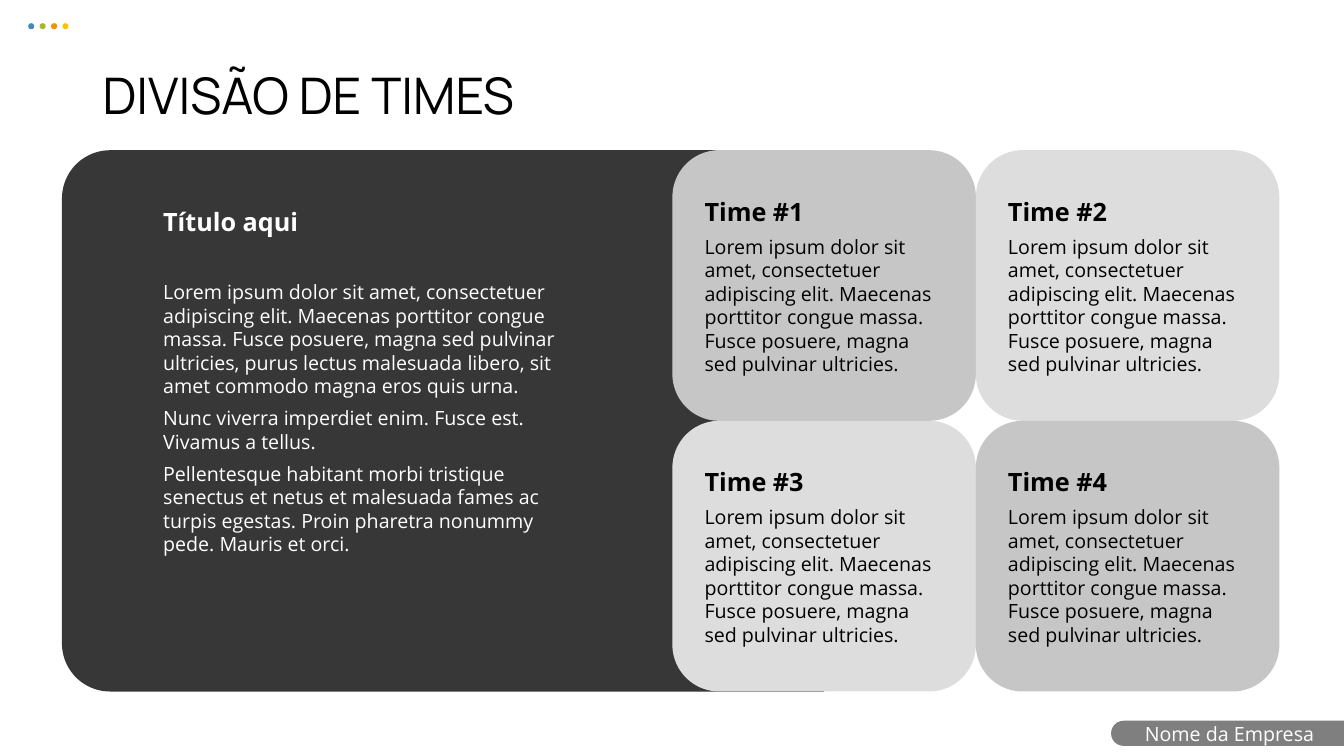
from dataclasses import dataclass
from itertools import product

from pptx import Presentation
from pptx.dml.color import RGBColor
from pptx.enum.shapes import MSO_SHAPE as Preset
from pptx.enum.text import MSO_ANCHOR as Anchor, MSO_AUTO_SIZE as AutoSize, PP_ALIGN as Align
from pptx.slide import Slide
from pptx.util import Inches, Pt

SLIDE_WIDTH, SLIDE_HEIGHT = Inches(13.33), Inches(7.5)
BODY_FONT, TITLE_FONT = "Open Sans", "Manrope"
BLACK, WHITE = "000000", "FFFFFF"
PANEL_FILL, FOOTER_FILL = "373737", "7F7F7F"
CARD_FILLS = ("C6C6C6", "DDDDDD")
DOT_FILLS = ("418AB3", "A6B727", "F69200", "FEC306")

CARD_TEXT = (
    "Lorem ipsum dolor sit amet, consectetuer adipiscing elit. Maecenas porttitor "
    "congue massa. Fusce posuere, magna sed pulvinar ultricies."
)
PANEL_TEXTS = (
    CARD_TEXT[:-1] + ", purus lectus malesuada libero, sit amet commodo magna eros quis urna.",
    "Nunc viverra imperdiet enim. Fusce est. Vivamus a tellus.",
    "Pellentesque habitant morbi tristique senectus et netus et malesuada fames ac "
    "turpis egestas. Proin pharetra nonummy pede. Mauris et orci.",
)


@dataclass(frozen=True)
class Box:
    """A rectangle in percent of the slide's width and height."""
    left: float
    top: float
    width: float
    height: float

    def in_emu(self) -> tuple[int, int, int, int]:
        return (
            int(SLIDE_WIDTH * self.left / 100), int(SLIDE_HEIGHT * self.top / 100),
            int(SLIDE_WIDTH * self.width / 100), int(SLIDE_HEIGHT * self.height / 100),
        )


@dataclass(frozen=True)
class Line:
    """One paragraph with a single run."""
    text: str
    size: float = 14
    color: str = BLACK
    bold: bool = False
    font: str = BODY_FONT
    space_before: float = 0
    line_spacing: float = 1.0
    align: Align = Align.LEFT


CARD_GRID = Box(50.03, 19.87, 22.58, 35.8)
PANEL = Box(4.61, CARD_GRID.top, 56.71, 2 * CARD_GRID.height)
FOOTER = Box(82.67, 95.33, 17.33, 3.33)


def color_of(value: str) -> RGBColor:
    return RGBColor.from_string(value)


def add_filled(slide: Slide, preset: Preset, box: Box, fill: str,
               adjustments: tuple[float, ...] = (), on_left_side: bool = False) -> None:
    """Draw a plain shape; on_left_side turns its top edge to the left."""
    left, top, width, height = box.in_emu()
    if on_left_side:
        left, top = left + (width - height) // 2, top + (height - width) // 2
        width, height = height, width
    shape = slide.shapes.add_shape(preset, left, top, width, height)
    shape.rotation = 270 if on_left_side else 0
    for index, adjustment in enumerate(adjustments):
        shape.adjustments[index] = adjustment
    shape.shadow.inherit = False
    shape.fill.solid()
    shape.fill.fore_color.rgb = color_of(fill)
    shape.line.fill.background()


def add_text(slide: Slide, box: Box, lines: list[Line],
             anchor: Anchor = Anchor.MIDDLE, grow: bool = False) -> None:
    frame = slide.shapes.add_textbox(*box.in_emu()).text_frame
    frame.word_wrap = True
    frame.vertical_anchor = anchor
    frame.auto_size = AutoSize.SHAPE_TO_FIT_TEXT if grow else AutoSize.NONE
    for index, line in enumerate(lines):
        paragraph = frame.add_paragraph() if index else frame.paragraphs[0]
        paragraph.alignment = line.align
        paragraph.line_spacing = line.line_spacing
        paragraph.space_before = Pt(line.space_before)
        run = paragraph.add_run()
        run.text = line.text
        run.font.name = line.font
        run.font.size = Pt(line.size)
        run.font.bold = line.bold
        run.font.color.rgb = color_of(line.color)


def add_card(slide: Slide, row: int, column: int) -> None:
    left = CARD_GRID.left + column * CARD_GRID.width
    top = CARD_GRID.top + row * CARD_GRID.height
    add_filled(slide, Preset.ROUNDED_RECTANGLE,
               Box(left, top, CARD_GRID.width, CARD_GRID.height),
               CARD_FILLS[(row + column) % 2], (0.173,))
    add_text(slide, Box(left + 1.65, top + 6.8, 19.13, 22.27), [
        Line(f"Time #{2 * row + column + 1}", size=18, bold=True),
        Line(CARD_TEXT, space_before=6),
    ], grow=True)


def main() -> None:
    presentation = Presentation()
    presentation.slide_width, presentation.slide_height = SLIDE_WIDTH, SLIDE_HEIGHT
    slide = presentation.slides.add_slide(presentation.slide_layouts[6])

    # Footer tab
    add_filled(slide, Preset.ROUND_2_SAME_RECTANGLE, FOOTER, FOOTER_FILL, (0.5, 0),
               on_left_side=True)
    add_text(slide, Box(82.97, 95.87, 17.03, 2.4),
             [Line("Nome da Empresa", color=WHITE, align=Align.CENTER)])

    # Corner dots
    for index, fill in enumerate(DOT_FILLS):
        add_filled(slide, Preset.OVAL, Box(2.1 + 0.85 * index, 3.07, 0.45, 0.8), fill)

    # Title
    add_text(slide, Box(6.9, 8.53, 86.27, 8.8),
             [Line("DIVISÃO DE TIMES", size=36, font=TITLE_FONT, line_spacing=0.9)])

    # Dark panel, partly covered by the cards
    add_filled(slide, Preset.ROUND_2_SAME_RECTANGLE, PANEL, PANEL_FILL, (0.089, 0),
               on_left_side=True)
    heading = Line("Título aqui", size=18, color=WHITE, bold=True)
    body = [Line(text, color=WHITE, space_before=6 if index else 31)
            for index, text in enumerate(PANEL_TEXTS)]
    add_text(slide, Box(11.4, 26.67, 32.41, 44.4), [heading, *body],
             anchor=Anchor.TOP, grow=True)

    # Team cards
    for row, column in product(range(2), repeat=2):
        add_card(slide, row, column)

    presentation.save("out.pptx")


if __name__ == "__main__":
    main()
